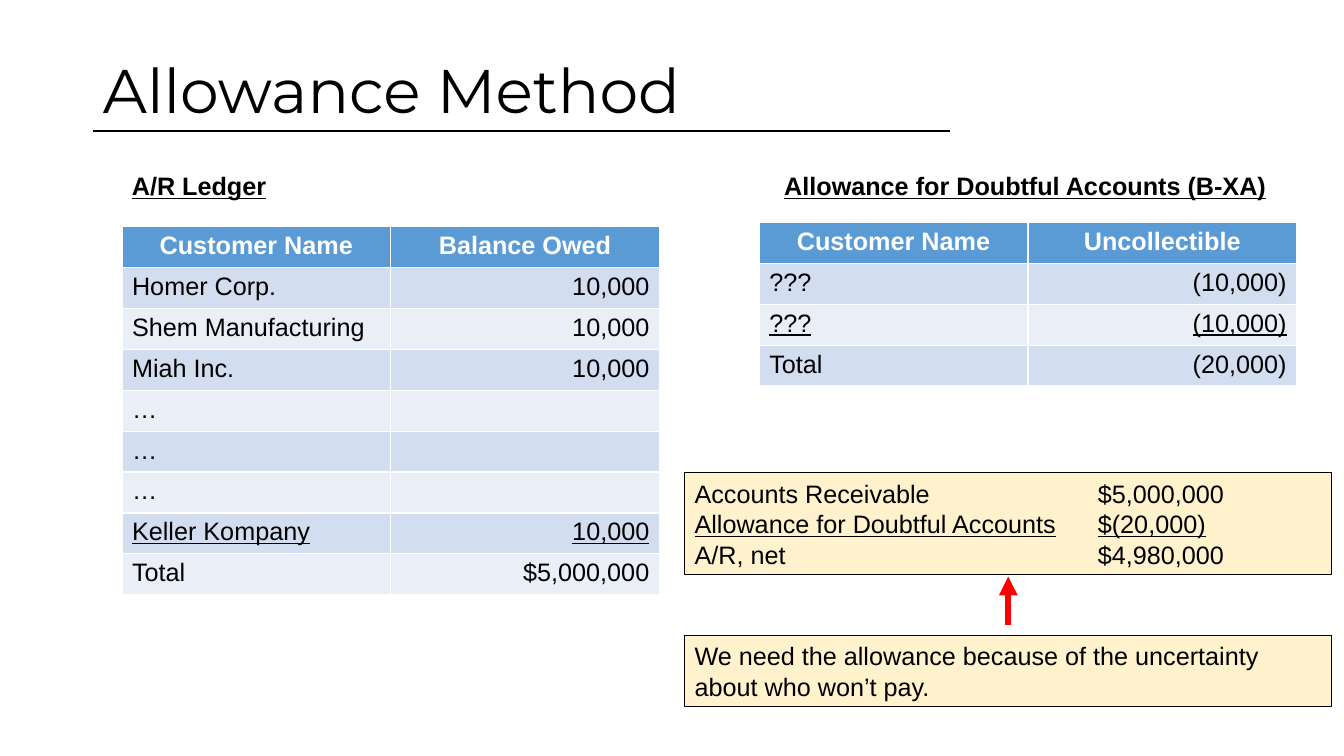
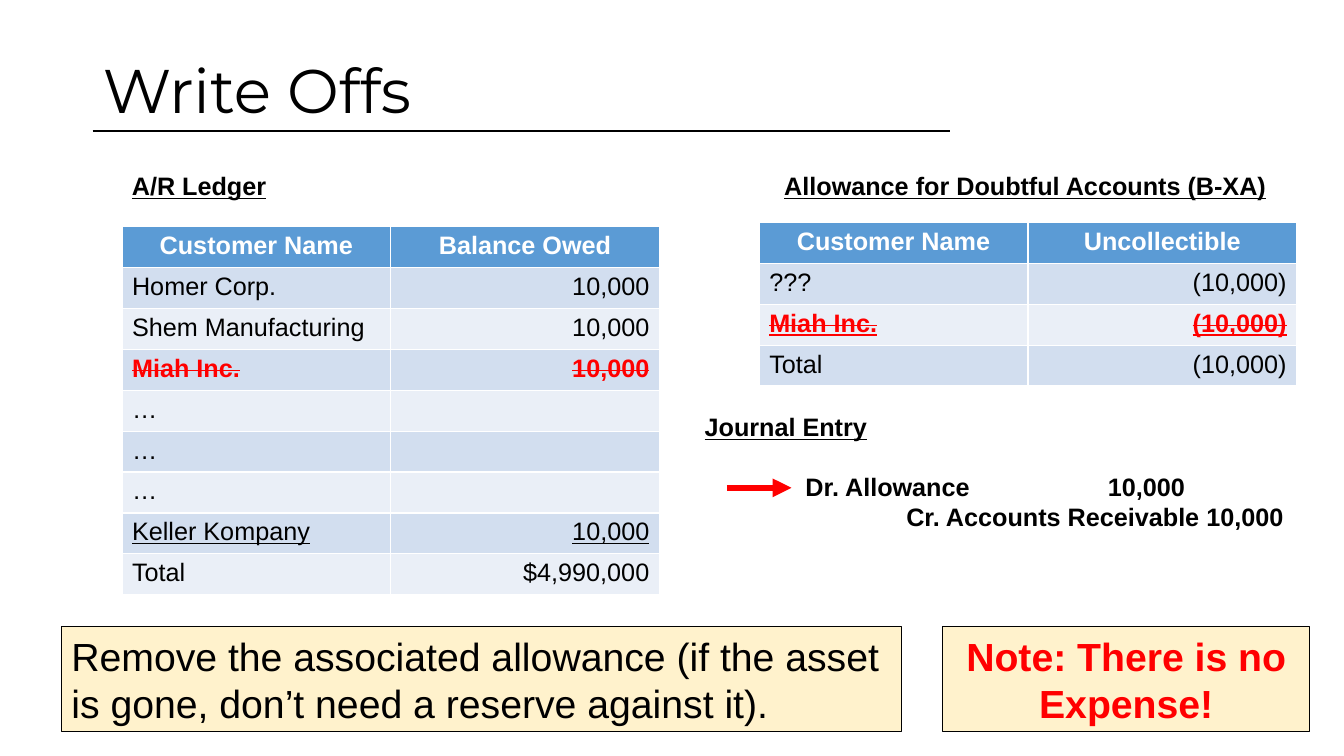
import collections

import pptx
import pptx.dml.color
import pptx.enum.shapes
import pptx.enum.text
import pptx.oxml.ns
import pptx.util
import lxml.etree

RGBColor = pptx.dml.color.RGBColor
Inches, Pt = pptx.util.Inches, pptx.util.Pt
qn = pptx.oxml.ns.qn
ALIGN = pptx.enum.text.PP_ALIGN
ANCHOR = pptx.enum.text.MSO_ANCHOR

BLACK = RGBColor(0x00, 0x00, 0x00)
WHITE = RGBColor(0xFF, 0xFF, 0xFF)
RED = RGBColor(0xFF, 0x00, 0x00)
CREAM = RGBColor(0xFF, 0xF2, 0xCC)
HEADER_BLUE = RGBColor(0x5B, 0x9B, 0xD5)
BANDS = (RGBColor(0xD2, 0xDE, 0xEF), RGBColor(0xEA, 0xEF, 0xF7))

TITLE_FONT, BODY_FONT = "Montserrat", "Arial"
ROW_HEIGHT = 3.65 / 9
HEADING_HEIGHT = 0.4

UNDERLINED = {"underline": True}
WRITTEN_OFF = {"bold": True, "color": RED, "strike": True}

Box = collections.namedtuple("Box", "left top width height")
TITLE = Box(0.92, 0.2, 11.5, 1.45)
LEDGER = Box(1.21, 1.64, 5.33, 4.26)
ALLOWANCE = Box(7.53, 1.64, 5.33, 2.19)
NET_BOX = Box(6.79, 4.69, 6.42, 1.01)
REASON_BOX = Box(6.79, 6.3, 6.42, 0.71)
JOURNAL = Box(6.89, 4.03, 6.32, 1.62)
ADVICE_BOX = Box(0.61, 6.22, 8.33, 1.04)
NOTE_BOX = Box(9.35, 6.22, 3.64, 1.04)


def emu(box):
    return [Inches(length) for length in box]


def add_run(p, text, size=18, color=BLACK, bold=False, underline=False,
            strike=False, font=BODY_FONT):
    r = p.add_run()
    r.text = text
    r.font.name = font
    r.font.size = Pt(size)
    r.font.color.rgb = color
    r.font.bold = bold
    r.font.underline = underline
    if strike:
        r.font._element.set("strike", "sngStrike")


def set_tabs(p, *stops):
    """Put left tab stops, in inches, on a paragraph."""
    tabs = lxml.etree.SubElement(p._p.get_or_add_pPr(), qn("a:tabLst"))
    for stop in stops:
        lxml.etree.SubElement(tabs, qn("a:tab"), pos=str(Inches(stop)), algn="l")


def add_line(s, start, end, color, width, arrow=False):
    kind = pptx.enum.shapes.MSO_CONNECTOR.STRAIGHT
    line = s.shapes.add_connector(kind, *emu(start + end))
    line.line.color.rgb = color
    line.line.width = Pt(width)
    if arrow:
        ln = line.line._get_or_add_ln()
        lxml.etree.SubElement(ln, qn("a:tailEnd"), type="triangle")
    lxml.etree.SubElement(line._element.spPr, qn("a:effectLst"))


def add_text_box(s, box):
    tf = s.shapes.add_textbox(*emu(box)).text_frame
    tf.word_wrap = True
    return tf


def add_callout(s, box):
    """Draw a cream outlined box and return its text frame."""
    sp = s.shapes.add_shape(pptx.enum.shapes.MSO_SHAPE.RECTANGLE, *emu(box))
    sp.shadow.inherit = False
    sp.fill.solid()
    sp.fill.fore_color.rgb = CREAM
    sp.line.color.rgb = BLACK
    sp.line.width = Pt(0.75)
    tf = sp.text_frame
    tf.word_wrap = True
    tf.paragraphs[0].alignment = ALIGN.LEFT
    return tf


def add_titled_slide(prs, title):
    s = prs.slides.add_slide(prs.slide_layouts.get_by_name("Title Only"))
    add_line(s, (TITLE.left, 1.3), (TITLE.left + 8.5, 1.3), BLACK, 1)
    sp = s.shapes.title
    sp.left, sp.top, sp.width, sp.height = emu(TITLE)
    tf = sp.text_frame
    tf.auto_size = pptx.enum.text.MSO_AUTO_SIZE.NONE
    tf.vertical_anchor = ANCHOR.MIDDLE
    p = tf.paragraphs[0]
    p.alignment = ALIGN.LEFT
    p.line_spacing = 0.9
    add_run(p, title, size=44, font=TITLE_FONT)
    return s


def fill_cell(cell, text, fill, align, **style):
    cell.fill.solid()
    cell.fill.fore_color.rgb = fill
    p = cell.text_frame.paragraphs[0]
    p.alignment = align
    if text:
        add_run(p, text, **style)


def add_account(s, box, heading, indent, columns, entries):
    """Place a heading at the top of the box and a table at its bottom."""
    tf = add_text_box(s, Box(box.left + indent, box.top, box.width, HEADING_HEIGHT))
    add_run(tf.paragraphs[0], heading, bold=True, underline=True)

    height = ROW_HEIGHT * (len(entries) + 1)
    place = Box(box.left, box.top + box.height - height, box.width, height)
    table = s.shapes.add_table(len(entries) + 1, len(columns), *emu(place)).table
    for col, name in enumerate(columns):
        fill_cell(table.cell(0, col), name, HEADER_BLUE, ALIGN.CENTER,
                  color=WHITE, bold=True)
    for row, (customer, amount, style) in enumerate(entries):
        band = BANDS[row % 2]
        fill_cell(table.cell(row + 1, 0), customer, band, ALIGN.LEFT, **style)
        fill_cell(table.cell(row + 1, 1), amount, band, ALIGN.RIGHT, **style)


def add_ledger(s, miah_style, total):
    entries = [
        ("Homer Corp.", "10,000", {}),
        ("Shem Manufacturing", "10,000", {}),
        ("Miah Inc.", "10,000", miah_style),
        *[("…", "", {})] * 3,
        ("Keller Kompany", "10,000", UNDERLINED),
        ("Total", total, {}),
    ]
    add_account(s, LEDGER, "A/R Ledger", 0, ("Customer Name", "Balance Owed"), entries)


def add_allowance(s, customer, style, total):
    entries = [
        ("???", "(10,000)", {}),
        (customer, "(10,000)", {**style, **UNDERLINED}),
        ("Total", total, {}),
    ]
    add_account(s, ALLOWANCE, "Allowance for Doubtful Accounts (B-XA)", 0.15,
                ("Customer Name", "Uncollectible"), entries)


def add_net_receivable(s, box):
    tf = add_callout(s, box)
    lines = [
        ("Accounts Receivable", "$5,000,000", {}),
        ("Allowance for Doubtful Accounts", "$(20,000)", UNDERLINED),
        ("A/R, net", "$4,980,000", {}),
    ]
    for i, (label, amount, style) in enumerate(lines):
        p = tf.add_paragraph() if i else tf.paragraphs[0]
        p.alignment = ALIGN.LEFT
        set_tabs(p, 4)
        add_run(p, label, **style)
        add_run(p, "\t")
        add_run(p, amount, **style)


def add_journal_entry(s, box):
    tf = add_text_box(s, box)
    add_run(tf.paragraphs[0], "Journal Entry", bold=True, underline=True)
    debit = tf.add_paragraph()
    debit.space_before = Pt(21)
    set_tabs(debit, 1, 4)
    add_run(debit, "\tDr. Allowance\t10,000", bold=True)
    credit = tf.add_paragraph()
    set_tabs(credit, 2)
    add_run(credit, "\tCr. Accounts Receivable 10,000", bold=True)
    y = box.top + box.height / 2
    add_line(s, (box.left + 0.32, y), (box.left + 0.96, y), RED, 4.5, arrow=True)


def allowance_method_slide(prs):
    s = add_titled_slide(prs, "Allowance Method")
    add_ledger(s, {}, "$5,000,000")
    add_allowance(s, "???", {}, "(20,000)")
    add_net_receivable(s, NET_BOX)
    tf = add_callout(s, REASON_BOX)
    add_run(tf.paragraphs[0], "We need the allowance because of the uncertainty "
            "about who won’t pay.")
    x = REASON_BOX.left + REASON_BOX.width / 2
    add_line(s, (x, REASON_BOX.top - 0.1), (x, NET_BOX.top + NET_BOX.height + 0.02),
             RED, 4.5, arrow=True)


def write_offs_slide(prs):
    s = add_titled_slide(prs, "Write Offs")
    add_ledger(s, WRITTEN_OFF, "$4,990,000")
    add_allowance(s, "Miah Inc.", WRITTEN_OFF, "(10,000)")
    add_journal_entry(s, JOURNAL)
    tf = add_callout(s, ADVICE_BOX)
    add_run(tf.paragraphs[0], "Remove the associated allowance (if the asset is gone, "
            "don’t need a reserve against it).", size=28)
    p = add_callout(s, NOTE_BOX).paragraphs[0]
    p.alignment = ALIGN.CENTER
    add_run(p, "Note: There is no Expense!", size=28, color=RED, bold=True)


def main():
    prs = pptx.Presentation()
    prs.slide_width, prs.slide_height = Inches(13.33), Inches(7.5)
    allowance_method_slide(prs)
    write_offs_slide(prs)
    prs.save("out.pptx")


if __name__ == "__main__":
    main()
